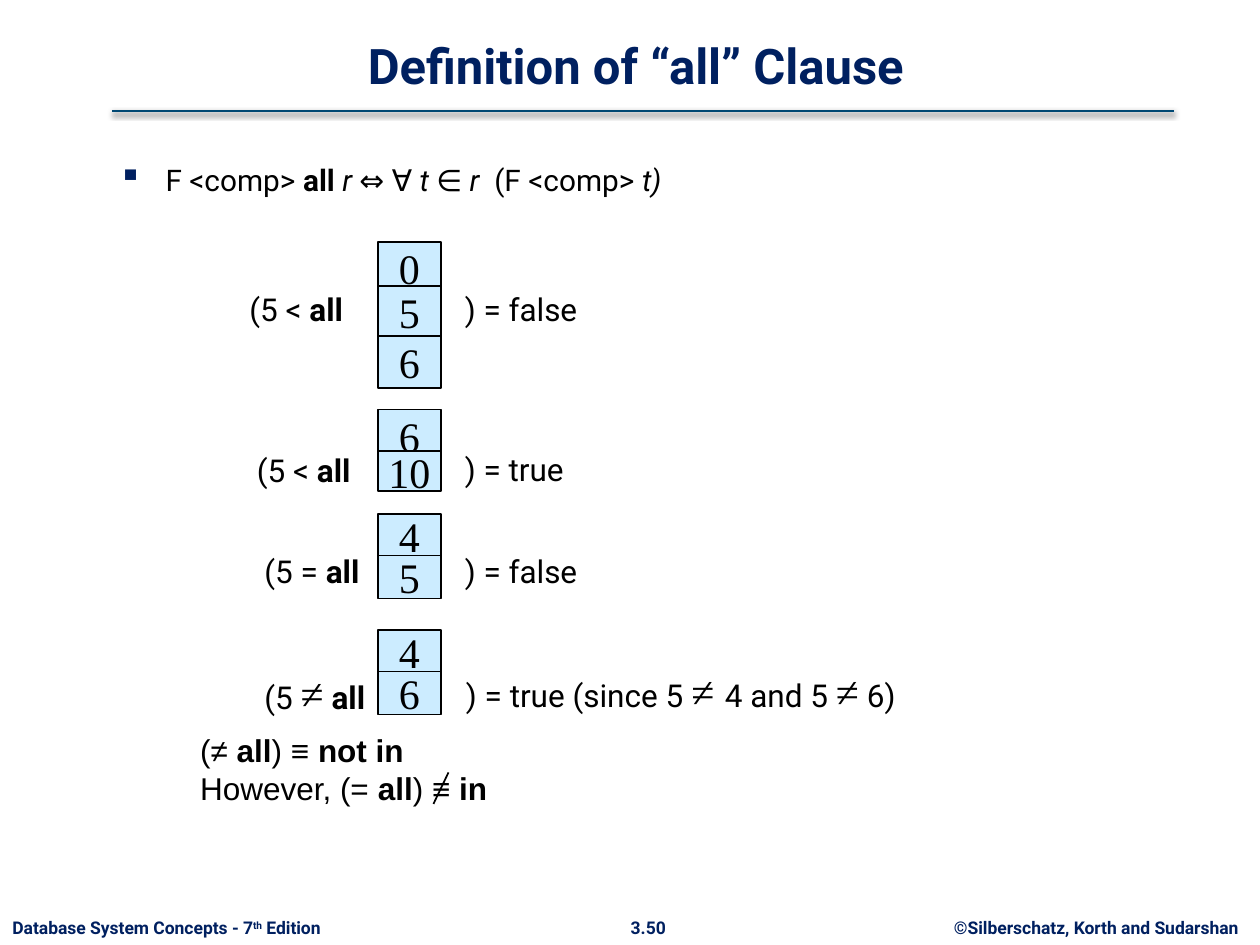
from lxml import etree
from pptx import Presentation
from pptx import util as u
from pptx.dml.color import RGBColor
from pptx.enum import shapes, text
from pptx.oxml.ns import qn

Pt = u.Pt
COLORS = {"navy": "002060", "rule": "004873", "cell": "CCECFF", "black": "000000"}
LEFT, CENTER = text.PP_ALIGN.LEFT, text.PP_ALIGN.CENTER
TOP, MIDDLE, BOTTOM = (text.MSO_ANCHOR.TOP, text.MSO_ANCHOR.MIDDLE,
                       text.MSO_ANCHOR.BOTTOM)

# Each example: cell values as (value, top, height), then the text on either
# side as (left, top, width, runs). A run is (text, style).
EXAMPLES = [
    ([("0", 138.2, 29.5), ("5", 163.4, 29.5), ("6", 192.2, 29.5)],
     (135.4, 162, 96, [("(5 < ", ""), ("all", "bold")]),
     (258.5, 162, 96, [(") = false", "")])),
    ([("6", 234, 30.2), ("10", 257.8, 23)],
     (139.7, 254.2, 96, [("(5 < ", ""), ("all", "bold")]),
     (258.5, 253.4, 96, [(") = true", "")])),
    ([("4", 293.8, 24.5), ("5", 317.5, 24.5)],
     (144, 311.8, 96, [("(5 = ", ""), ("all", "bold")]),
     (258.5, 311.8, 96, [(") = false", "")])),
    ([("4", 360, 24.5), ("6", 383.8, 24.5)],
     (144, 378, 132, [("(5 ", ""), ("≠", "math"), (" ", ""), ("all", "bold")]),
     (259.2, 376.6, 360, [(") = true (since 5 ", ""), ("≠ ", "math"),
                          ("4 and 5 ", ""), ("≠", "math"), (" 6)", "")])),
]


def rgb(name):
    return RGBColor.from_string(COLORS[name])


def set_font(font, size, name="Roboto", color="black", bold=None):
    font.size, font.name, font.bold = Pt(size), name, bold
    font.color.rgb = rgb(color)


def add_runs(paragraph, runs):
    for content, style in runs:
        run = paragraph.add_run()
        run.text = content
        if style == "bold":
            run.font.bold = True
        elif style == "italic":
            run.font.italic = True
        elif style == "math":
            run.font.size, run.font.name = Pt(24), "Times New Roman"
        elif style == "super":
            run.font._element.set("baseline", "30000")


def add_text(slide, box, lines, size, name="Roboto", color="black", bold=None,
             align=LEFT, anchor=TOP, wrap=True):
    frame = slide.shapes.add_textbox(*map(Pt, box)).text_frame
    frame.word_wrap, frame.vertical_anchor = wrap, anchor
    for index, runs in enumerate(lines):
        paragraph = frame.add_paragraph() if index else frame.paragraphs[0]
        paragraph.alignment = align
        set_font(paragraph.font, size, name, color, bold)
        add_runs(paragraph, runs)
    return frame


def add_bullet(paragraph, char, color):
    props = paragraph._p.get_or_add_pPr()
    props.set("marL", str(Pt(27)))
    props.set("indent", str(-Pt(27)))
    bullet_color = etree.Element(qn("a:buClr"))
    etree.SubElement(bullet_color, qn("a:srgbClr"), val=COLORS[color])
    parts = [bullet_color,
             etree.Element(qn("a:buSzPct"), val="110000"),
             etree.Element(qn("a:buChar"), char=char)]
    for position, part in enumerate(parts):
        props.insert(position, part)


def add_line(slide, start, end, color, width):
    line = slide.shapes.add_connector(
        shapes.MSO_CONNECTOR.STRAIGHT, *map(Pt, start + end))
    line.line.color.rgb = rgb(color)
    line.line.width = Pt(width)
    return etree.SubElement(line._element.spPr, qn("a:effectLst"))


def add_shadow(effects):
    shadow = etree.SubElement(effects, qn("a:outerShdw"), blurRad=str(Pt(3.1)),
                              dist=str(Pt(1.6)), dir="5400000", rotWithShape="0")
    color = etree.SubElement(shadow, qn("a:srgbClr"), val=COLORS["black"])
    etree.SubElement(color, qn("a:alpha"), val="38000")


def add_cell(slide, value, top, height):
    cell = slide.shapes.add_shape(shapes.MSO_SHAPE.RECTANGLE,
                                  Pt(216), Pt(top), Pt(36), Pt(height))
    cell.shadow.inherit = False
    cell.fill.solid()
    cell.fill.fore_color.rgb = rgb("cell")
    cell.line.color.rgb = rgb("black")
    cell.line.width = Pt(1)
    frame = cell.text_frame
    frame.word_wrap, frame.vertical_anchor = False, MIDDLE
    paragraph = frame.paragraphs[0]
    paragraph.text, paragraph.alignment = value, CENTER
    set_font(paragraph.font, 24, "Times New Roman")


def add_example(slide, cells, *sides):
    for value, top, height in cells:
        add_cell(slide, value, top, height)
    for left, top, width, runs in sides:
        add_text(slide, (left, top, width, 28.8), [runs], 18)


def add_footer(slide):
    parts = [
        (532.8, 187.2, CENTER, [("©Silberschatz, Korth and Sudarshan", "")]),
        (352.8, 35.3, CENTER, [("3.50", "")]),
        (0, 202.3, LEFT, [("Database System Concepts - 7", ""),
                          ("th", "super"), (" Edition", "")]),
    ]
    for left, width, align, runs in parts:
        add_text(slide, (left, 520.6, width, 19.4), [runs], 10, color="navy",
                 bold=True, align=align, wrap=False)


def main():
    deck = Presentation()
    deck.slide_width, deck.slide_height = Pt(720), Pt(540)
    slide = deck.slides.add_slide(deck.slide_layouts[6])

    # Footer, title and rule
    add_footer(slide)
    add_shadow(add_line(slide, (64.1, 63.4), (671, 63.4), "rule", 1.5))
    add_text(slide, (60.5, 9.4, 605.5, 48.2),
             [[("Definition of “all” Clause", "")]], 28, color="navy",
             bold=True, align=CENTER, anchor=BOTTOM)

    # Definition
    definition = add_text(slide, (60.5, 88.6, 527, 30.2), [[]], 17).paragraphs[0]
    add_bullet(definition, "▪", "navy")
    add_runs(definition, [
        ("F <comp> ", ""), ("all ", "bold"), ("r ", "italic"), ("⇔ ∀ ", ""),
        ("t ", "italic"), ("∈", ""), (" r ", "italic"), (" (F <comp> ", ""),
        ("t)", "italic")])

    # Examples
    for example in EXAMPLES:
        add_example(slide, *example)

    # Equivalences, with the stroke that negates the last sign
    add_text(slide, (107.3, 414, 535.7, 56.2), [
        [("(≠ ", ""), ("all", "bold"), (") ≡ ", ""), ("not in", "bold")],
        [("However, (= ", ""), ("all", "bold"), (") ≡ ", ""), ("in", "bold")],
    ], 18, name="Arial")
    add_line(slide, (256.3, 441.4), (247.7, 459.4), "black", 1)

    deck.save("out.pptx")


if __name__ == "__main__":
    main()
